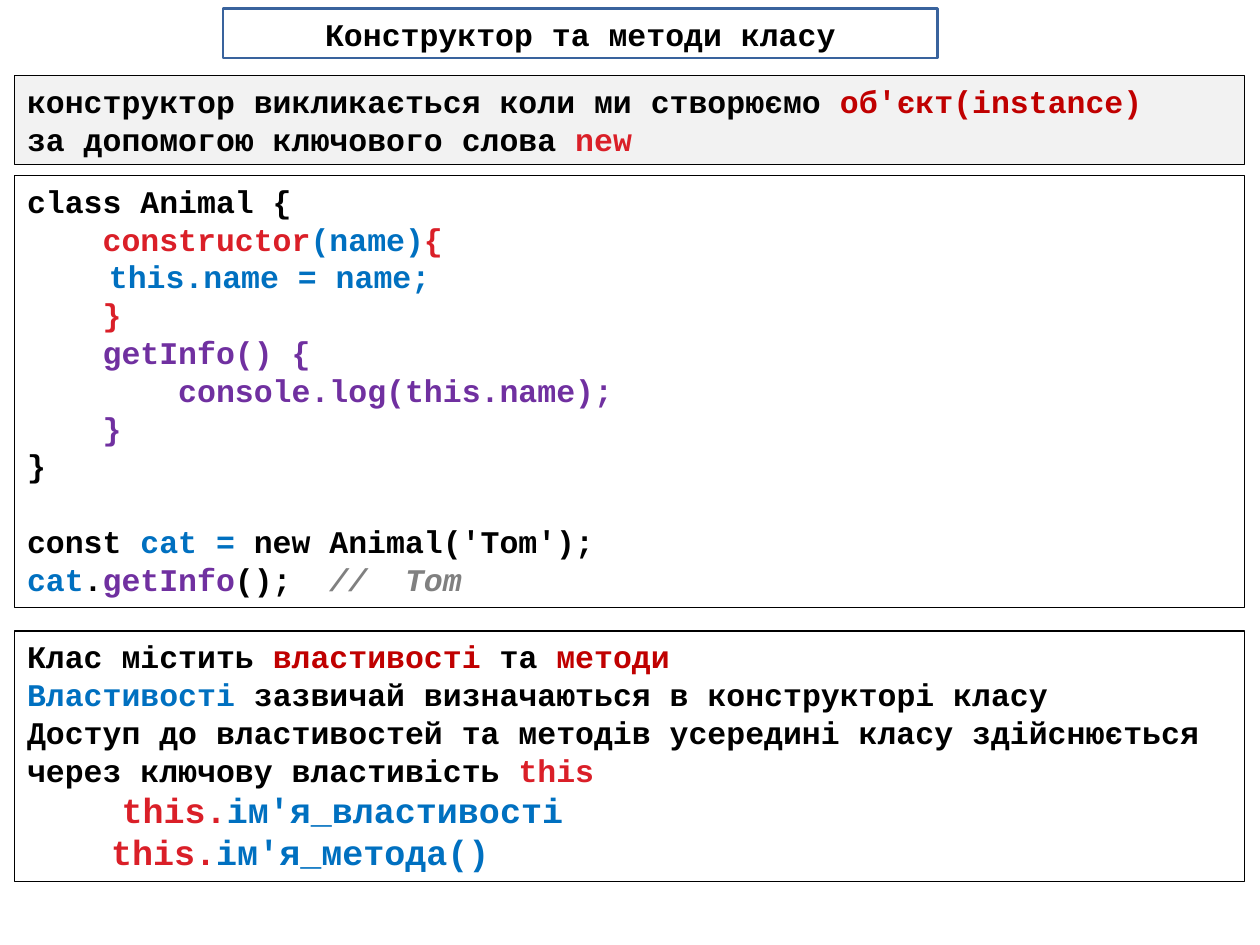
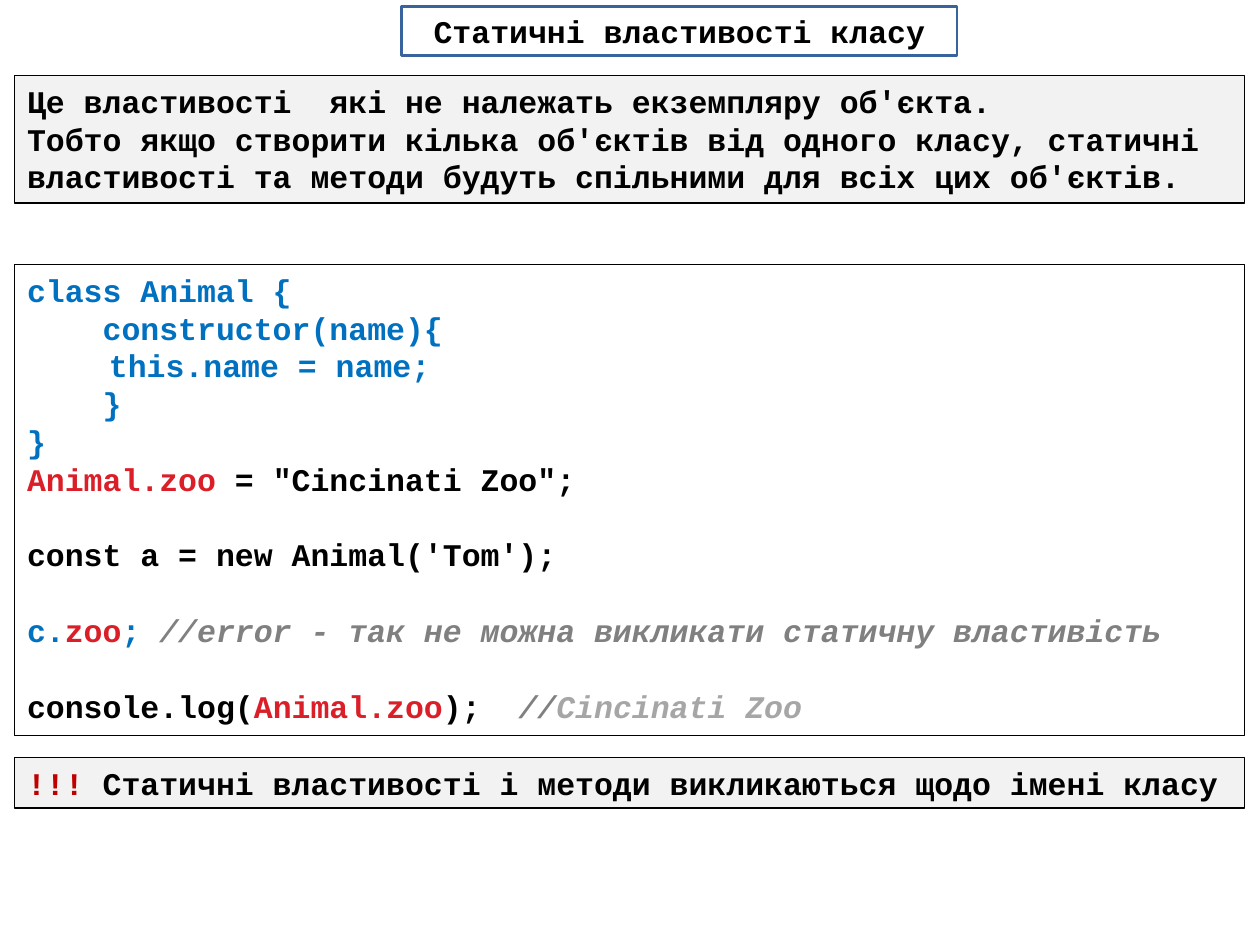
"""Builds two slides on class constructors, methods and static properties."""
from pptx import Presentation
from pptx.dml.color import RGBColor
from pptx.enum.shapes import MSO_SHAPE
from pptx.enum.text import MSO_ANCHOR, MSO_AUTO_SIZE, PP_ALIGN
from pptx.util import Pt

RECT = MSO_SHAPE.RECTANGLE
TOP, MIDDLE = MSO_ANCHOR.TOP, MSO_ANCHOR.MIDDLE
GROW, FIXED = MSO_AUTO_SIZE.SHAPE_TO_FIT_TEXT, MSO_AUTO_SIZE.NONE
LEFT, CENTER = PP_ALIGN.LEFT, PP_ALIGN.CENTER
COLORS = {
    "black": "000000", "white": "FFFFFF", "panel": "F2F2F2", "border": "39639D",
    "dark_red": "C00000", "red": "DA1F28", "blue": "0070C0", "purple": "7030A0",
    "comment": "808080", "result": "A6A6A6",
}
ITALIC = ("comment", "result")
FONT, SIZE = "Courier New", 18
BOX_LEFT, BOX_WIDTH = 8.4, 703
LINE = 21.6


def rgb(name):
    return RGBColor.from_string(COLORS[name])


class Deck:
    def __init__(self):
        self.prs = Presentation()
        self.prs.slide_width, self.prs.slide_height = Pt(720), Pt(540)

    def slide(self, title, left, top, width):
        self.s = self.prs.slides.add_slide(self.prs.slide_layouts[6])
        tf = self.rect(left, top, width, 28.2, "white", "border", 1.5)
        tf.vertical_anchor, tf.auto_size = MIDDLE, FIXED
        self.para(tf, [(title, "black")], align=CENTER)

    def rect(self, left, top, width, height, fill, line, weight):
        sp = self.s.shapes.add_shape(RECT, Pt(left), Pt(top), Pt(width), Pt(height))
        sp.shadow.inherit = False
        if fill:
            sp.fill.solid()
            sp.fill.fore_color.rgb = rgb(fill)
        else:
            sp.fill.background()
        sp.line.color.rgb = rgb(line)
        sp.line.width = Pt(weight)
        tf = sp.text_frame
        tf.word_wrap = True
        return tf

    def box(self, top, height, paras, fill=None):
        tf = self.rect(BOX_LEFT, top, BOX_WIDTH, height, fill, "black", 0.75)
        tf.vertical_anchor, tf.auto_size = TOP, GROW
        gap = 0
        for runs in paras:
            if runs:
                self.para(tf, runs, before=gap)
            gap = 0 if runs else LINE
        return tf

    def para(self, tf, runs, align=LEFT, size=SIZE, before=0, indent=0):
        p = tf.paragraphs[0]
        if p.runs:
            p = tf.add_paragraph()
        p.alignment = align
        if before:
            p.space_before = Pt(before)
        if indent:
            p._p.get_or_add_pPr().set("marL", str(Pt(indent)))
        for text, color in runs:
            r = p.add_run()
            r.text = text
            r.font.name, r.font.size, r.font.bold = FONT, Pt(size), True
            r.font.italic = color in ITALIC
            r.font.color.rgb = rgb(color)


def constructor_slide(deck):
    deck.slide("Конструктор та методи класу", 127.4, 5, 408.4)
    deck.box(43.2, 51, [
        [("конструктор викликається коли ми створюємо ", "black"),
         ("об'єкт(instance)", "dark_red")],
        [("за допомогою ключового слова ", "black"), ("new", "red")],
    ], "panel")
    deck.box(100.4, 246.6, [
        [("class Animal {", "black")],
        [("    constructor", "red"), ("(name)", "blue"), ("{", "red")],
        [("\t this.name = name;", "blue")],
        [("    }", "red")],
        [("    getInfo() {", "purple")],
        [("        console.log(this.name);", "purple")],
        [("    }", "purple")],
        [("}", "black")],
        [],
        [("const", "black"), (" cat = ", "blue"), ("new Animal('Tom');", "black")],
        [("cat", "blue"), (".", "black"), ("getInfo", "purple"),
         ("();  ", "black"), ("//  Tom", "comment")],
    ])
    tf = deck.box(360.6, 143, [
        [("Клас містить ", "black"), ("властивості", "dark_red"),
         (" та ", "black"), ("методи", "dark_red")],
        [("Властивості ", "blue"),
         ("зазвичай визначаються в конструкторі класу", "black")],
        [("Доступ до властивостей та методів усередині класу здійснюється "
          "через ключову властивість ", "black"), ("this", "red")],
    ])
    for member, indent in (("ім'я_властивості", 54), ("ім'я_метода()", 48)):
        deck.para(tf, [("this.", "red"), (member, "blue")], size=20, indent=indent)


def static_slide(deck):
    deck.slide("Статичні властивості класу", 229.4, 3.6, 317.6)
    deck.box(43.2, 72.8, [
        [("Це властивості  які не належать екземпляру об'єкта.", "black")],
        [("Тобто якщо створити кілька об'єктів від одного класу, статичні "
          "властивості та методи будуть спільними для всіх цих об'єктів.", "black")],
    ], "panel")
    deck.box(151.2, 269, [
        [("class Animal {", "blue")],
        [("    constructor(name){", "blue")],
        [("\t this.name = name;", "blue")],
        [("    }", "blue")],
        [("}", "blue")],
        [("Animal.zoo ", "red"), ("= \"Cincinati Zoo\";", "black")],
        [],
        [("const a = new Animal('Tom');", "black")],
        [],
        [("c.", "blue"), ("zoo", "red"), ("; ", "blue"),
         ("//error - так не можна викликати статичну властивість", "comment")],
        [],
        [("console.log(", "black"), ("Animal.zoo", "red"), (");  ", "black"),
         ("//", "comment"), ("Cincinati Zoo", "result")],
    ])
    deck.box(432.8, 29, [
        [("!!! ", "dark_red"),
         ("Статичні властивості і методи викликаються щодо імені класу", "black")],
    ], "panel")


def main():
    deck = Deck()
    constructor_slide(deck)
    static_slide(deck)
    deck.prs.save("out.pptx")


if __name__ == "__main__":
    main()
